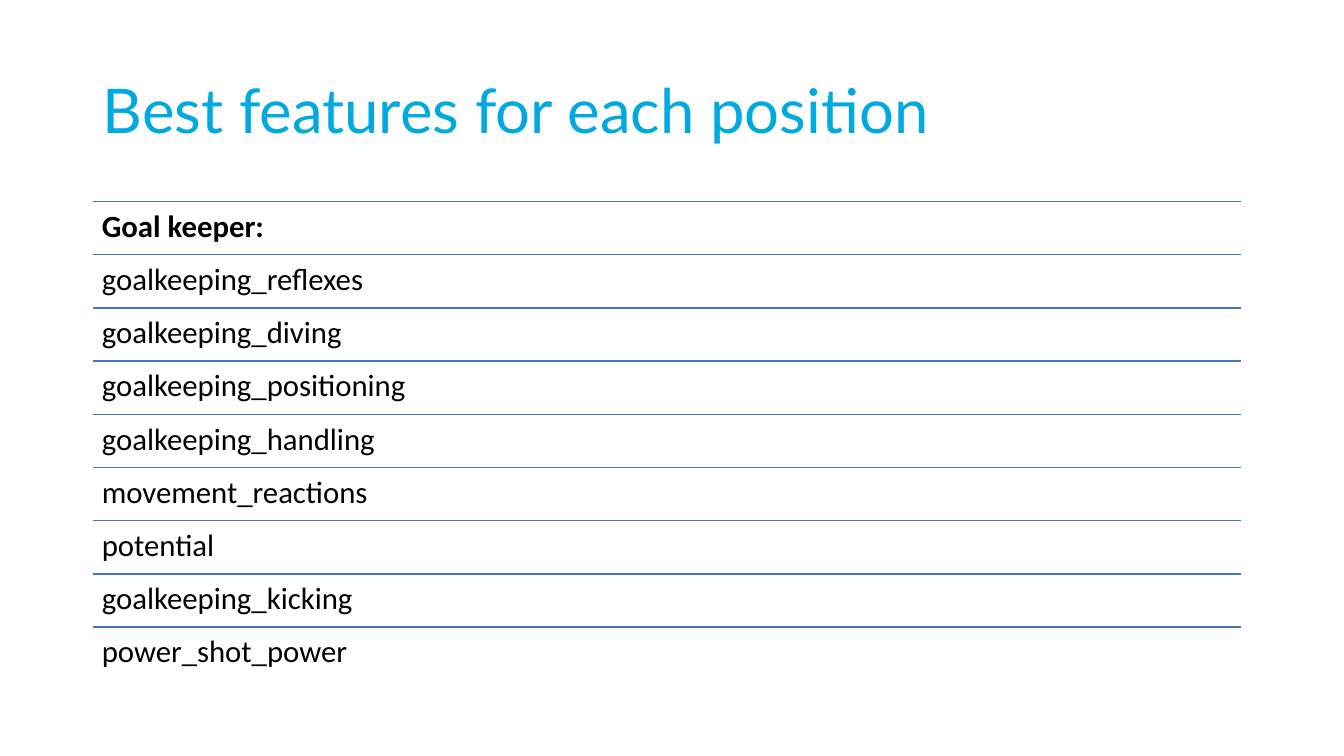
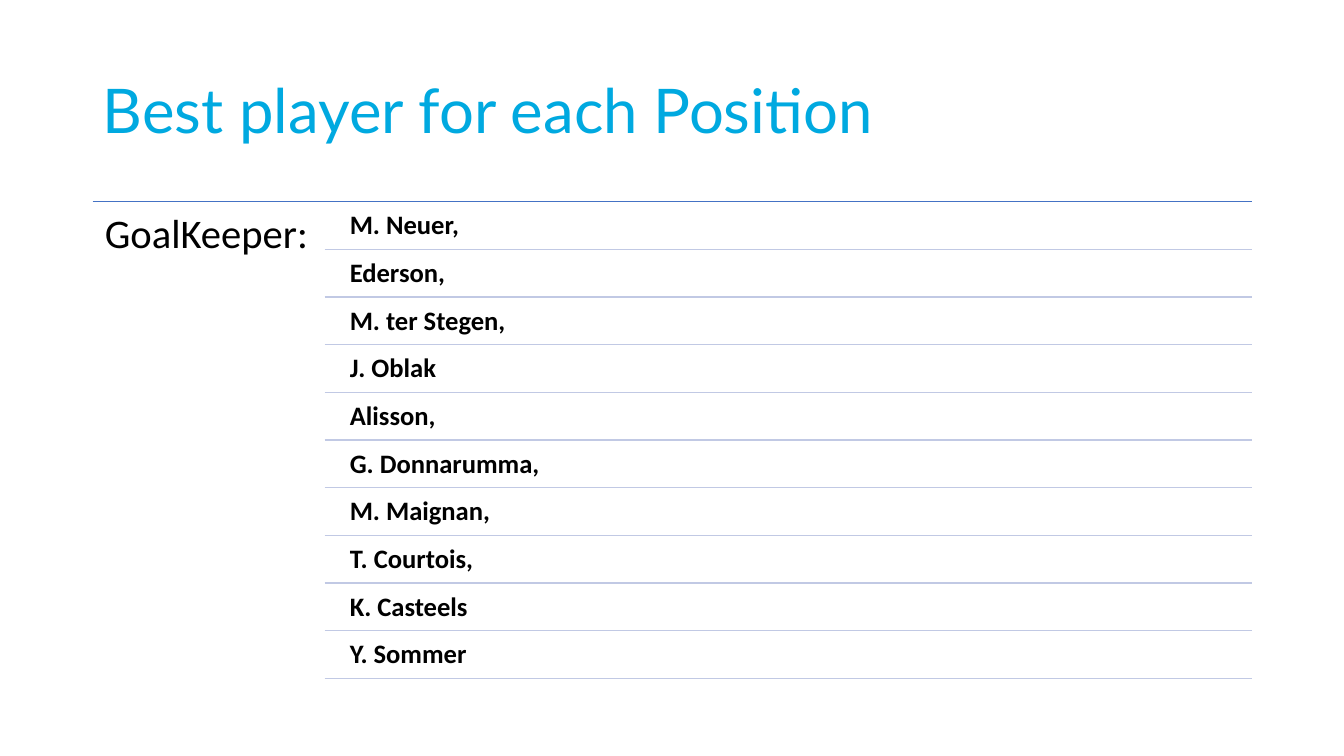
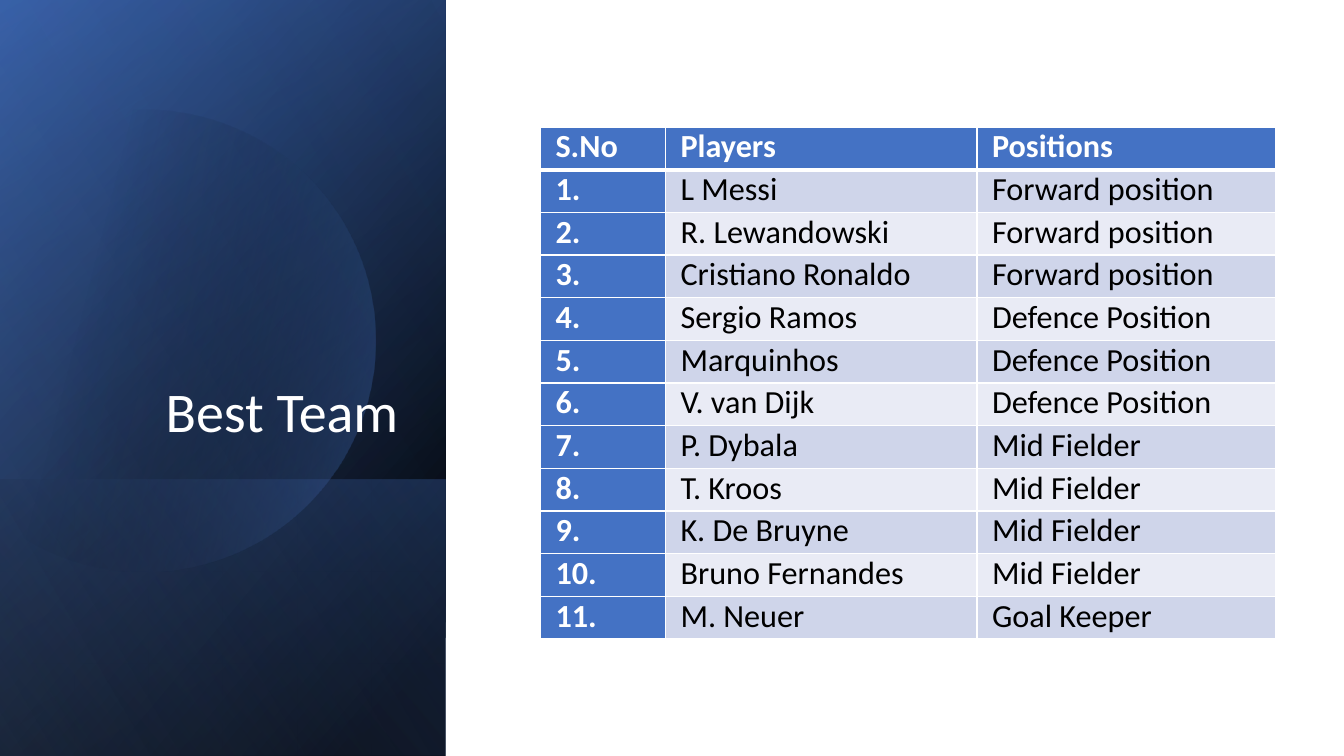
from math import acos, cos, pi, sin

from lxml import etree
from pptx import Presentation
from pptx.dml.color import RGBColor
from pptx.enum.shapes import MSO_CONNECTOR, MSO_SHAPE
from pptx.enum.text import MSO_ANCHOR, MSO_AUTO_SIZE, PP_ALIGN
from pptx.oxml.ns import qn
from pptx.util import Inches, Pt

RECTANGLE = MSO_SHAPE.RECTANGLE
STRAIGHT = MSO_CONNECTOR.STRAIGHT
TOP, MIDDLE, BOTTOM = MSO_ANCHOR.TOP, MSO_ANCHOR.MIDDLE, MSO_ANCHOR.BOTTOM
LEFT, RIGHT = PP_ALIGN.LEFT, PP_ALIGN.RIGHT
NO_AUTOFIT = MSO_AUTO_SIZE.NONE

# Shared look
BLUE, PALE_BLUE, CYAN = "4472C4", "C1C9E4", "00A9E0"
BLACK, WHITE = "000000", "FFFFFF"
BANDS = ("CFD5EA", "E9EBF5")
BODY_FONT = "Calibri"
LIST_TITLE = {"at": (0.92, 0.4, 11.5, 1.45), "anchor": MIDDLE, "align": LEFT,
              "look": {"name": "Lato", "size": 44, "color": CYAN}}
PANEL_TITLE = {"at": (0.64, 1.84, 3.41, 2.62), "anchor": BOTTOM, "align": RIGHT,
               "look": {"name": BODY_FONT, "size": 40, "color": WHITE}}

# Content
FEATURES = ["Goal keeper:", "goalkeeping_reflexes", "goalkeeping_diving",
            "goalkeeping_positioning", "goalkeeping_handling", "movement_reactions",
            "potential", "goalkeeping_kicking", "power_shot_power"]
KEEPERS = ["M. Neuer,", "Ederson,", "M. ter Stegen,", "J. Oblak", "Alisson,",
           "G. Donnarumma,", "M. Maignan,", "T. Courtois,", "K. Casteels", "Y. Sommer"]
TEAM_HEADER = ("S.No", "Players", "Positions")
TEAM = [
    ("L Messi", "Forward position"),
    ("R. Lewandowski", "Forward position"),
    ("Cristiano Ronaldo", "Forward position"),
    ("Sergio Ramos", "Defence Position"),
    ("Marquinhos", "Defence Position"),
    ("V. van Dijk", "Defence Position"),
    ("P. Dybala", "Mid Fielder"),
    ("T. Kroos", "Mid Fielder"),
    ("K. De Bruyne", "Mid Fielder"),
    ("Bruno Fernandes", "Mid Fielder"),
    ("M. Neuer", "Goal Keeper"),
]
TEAM_COLUMNS = (1.24, 3.09, 2.96)

# Side panel layers: gradient stops are (position %, colour, opacity %)
FULL_PANEL = (-1.54, 1.54, 7.5, 4.42)
BACK_LAYERS = [
    (FULL_PANEL, [(8, BLACK, 100), (100, "2F5597", 100)], 50),
    (FULL_PANEL, [(0, BLACK, 0), (99, BLUE, 46)], 30),
    ((0.84, 3.92, 2.74, 4.42), [(2, BLUE, 29), (100, BLACK, 30)], 130),
]
FRONT_LAYER = (FULL_PANEL, [(0, BLACK, 0), (99, "8FAADC", 11)], 120)
DISC = {"center": (1.43, 3.38), "radius": 2.29, "cut": -0.15,
        "stops": [(29, BLACK, 0), (100, BLUE, 43)], "angle": 14}


def rgb(value):
    return RGBColor.from_string(value)


def inches(values):
    return [Inches(value) for value in values]


def write(frame, text, look, align=LEFT, spacing=0.9):
    para = frame.paragraphs[0]
    para.alignment, para.line_spacing = align, spacing
    span = para.add_run()
    span.text = text
    for key, value in look.items():
        if key == "color":
            span.font.color.rgb = rgb(value)
        else:
            setattr(span.font, key, Pt(value) if key == "size" else value)


def set_frame(frame, anchor, inset):
    settings = {"word_wrap": True, "auto_size": NO_AUTOFIT, "vertical_anchor": anchor}
    for side, margin in zip(("left", "top", "right", "bottom"), inset):
        settings[f"margin_{side}"] = Inches(margin)
    for key, value in settings.items():
        setattr(frame, key, value)


def add_page(deck, text, style):
    page = deck.slides.add_slide(deck.slide_layouts[5])
    title = page.shapes.title
    title.left, title.top, title.width, title.height = inches(style["at"])
    set_frame(title.text_frame, style["anchor"], (0.1, 0.05, 0.1, 0.05))
    write(title.text_frame, text, style["look"], style["align"])
    return page


def add_text(page, at, text, size, inset, bold=False):
    box = page.shapes.add_textbox(*inches(at))
    set_frame(box.text_frame, TOP, (inset,) * 4)
    write(box.text_frame, text,
          {"name": BODY_FONT, "size": size, "color": BLACK, "bold": bold})


def add_rule(page, left, right, y, color):
    rule = page.shapes.add_connector(STRAIGHT, *inches((left, y, right, y)))
    rule.line.color.rgb = rgb(color)
    rule.line.width = Pt(1)
    etree.SubElement(rule._element.spPr, qn("a:effectLst"))


def paint_gradient(shape, stops, angle):
    shape.shadow.inherit = False
    shape.line.fill.background()
    shape.fill.gradient()
    shape.fill.gradient_angle = 360 - angle
    for stop, (position, color, _) in zip(shape.fill.gradient_stops, stops):
        stop.position = position / 100
        stop.color.rgb = rgb(color)
    colors = shape._element.spPr.iter(qn("a:srgbClr"))
    for element, (_, _, opacity) in zip(list(colors), stops):
        etree.SubElement(element, qn("a:alpha"), val=str(opacity * 1000))


def add_layer(page, at, stops, angle):
    layer = page.shapes.add_shape(RECTANGLE, *inches(at))
    layer.rotation = 90
    layer._element.spPr.find(qn("a:xfrm")).set("flipH", "1")
    paint_gradient(layer, stops, angle)


def add_disc(page, center, radius, cut, stops, angle, steps=120):
    reach = acos((cut - center[0]) / radius)
    turns = [-reach + 2 * reach * step / steps for step in range(steps + 1)]
    points = [(Inches(center[0] + radius * cos(turn)), Inches(center[1] + radius * sin(turn)))
              for turn in turns]
    outline = page.shapes.build_freeform(*points[0])
    outline.add_line_segments(points[1:], close=True)
    paint_gradient(outline.convert_to_shape(), stops, angle)


def set_borders(cell, bottom):
    properties = cell._tc.get_or_add_tcPr()
    widths = {"lnL": 1, "lnR": 1, "lnT": 1, "lnB": bottom}
    for index, (tag, width) in enumerate(widths.items()):
        border = etree.Element(qn(f"a:{tag}"), w=str(Pt(width)))
        fill = etree.SubElement(border, qn("a:solidFill"))
        etree.SubElement(fill, qn("a:srgbClr"), val=WHITE)
        properties.insert(index, border)


def add_team_table(page):
    rows = [TEAM_HEADER] + [(f"{number}.", *entry) for number, entry in enumerate(TEAM, 1)]
    table = page.shapes.add_table(len(rows), len(TEAM_COLUMNS),
                                  *inches((5.36, 1.26, sum(TEAM_COLUMNS), 5.08))).table
    for column, width in zip(table.columns, TEAM_COLUMNS):
        column.width = Inches(width)
    for r, row in enumerate(rows):
        for c, text in enumerate(row):
            cell = table.cell(r, c)
            strong = r == 0 or c == 0
            cell.margin_left = cell.margin_right = Inches(0.15)
            cell.margin_top = cell.margin_bottom = 0
            cell.fill.solid()
            cell.fill.fore_color.rgb = rgb(BLUE if strong else BANDS[(r - 1) % 2])
            write(cell.text_frame, text, {"name": BODY_FONT, "size": 23, "bold": strong,
                                          "color": WHITE if strong else BLACK}, spacing=1.0)
            set_borders(cell, 3 if r == 0 else 1)


def build_features(deck):
    page = add_page(deck, "Best features for each position", LIST_TITLE)
    left, top, width, step = 0.92, 2, 11.39, 4.75 / len(FEATURES)
    for index, feature in enumerate(FEATURES):
        y = top + index * step
        add_rule(page, left, left + width, y, BLUE)
        add_text(page, (left, y, width, step), feature, 22, 0.09, bold=index == 0)


def build_keepers(deck):
    page = add_page(deck, "Best player for each Position", LIST_TITLE)
    left, right, top, height = 0.92, 12.42, 2, 4.73
    label_width, indent, step = 2.3, 0.17, height / len(KEEPERS)
    names_left = left + label_width
    add_rule(page, left, right, top, BLUE)
    add_text(page, (left, top, label_width, height), "GoalKeeper:", 29, 0.12)
    for index, keeper in enumerate(KEEPERS):
        y = top + index * step
        add_text(page, (names_left + indent, y + 0.02, right - names_left - indent, 0.45),
                 keeper, 19, 0.08, bold=True)
        add_rule(page, names_left, right, y + step, PALE_BLUE)


def build_team(deck):
    page = add_page(deck, "Best Team", PANEL_TITLE)
    for layer in BACK_LAYERS:
        add_layer(page, *layer)
    add_disc(page, **DISC)
    add_layer(page, *FRONT_LAYER)
    # Bring the title in front of the panel
    page.shapes._spTree.append(page.shapes.title._element)
    add_team_table(page)


def main():
    deck = Presentation()
    deck.slide_width, deck.slide_height = inches((13.33, 7.5))
    for build in (build_features, build_keepers, build_team):
        build(deck)
    deck.save("out.pptx")


if __name__ == "__main__":
    main()
